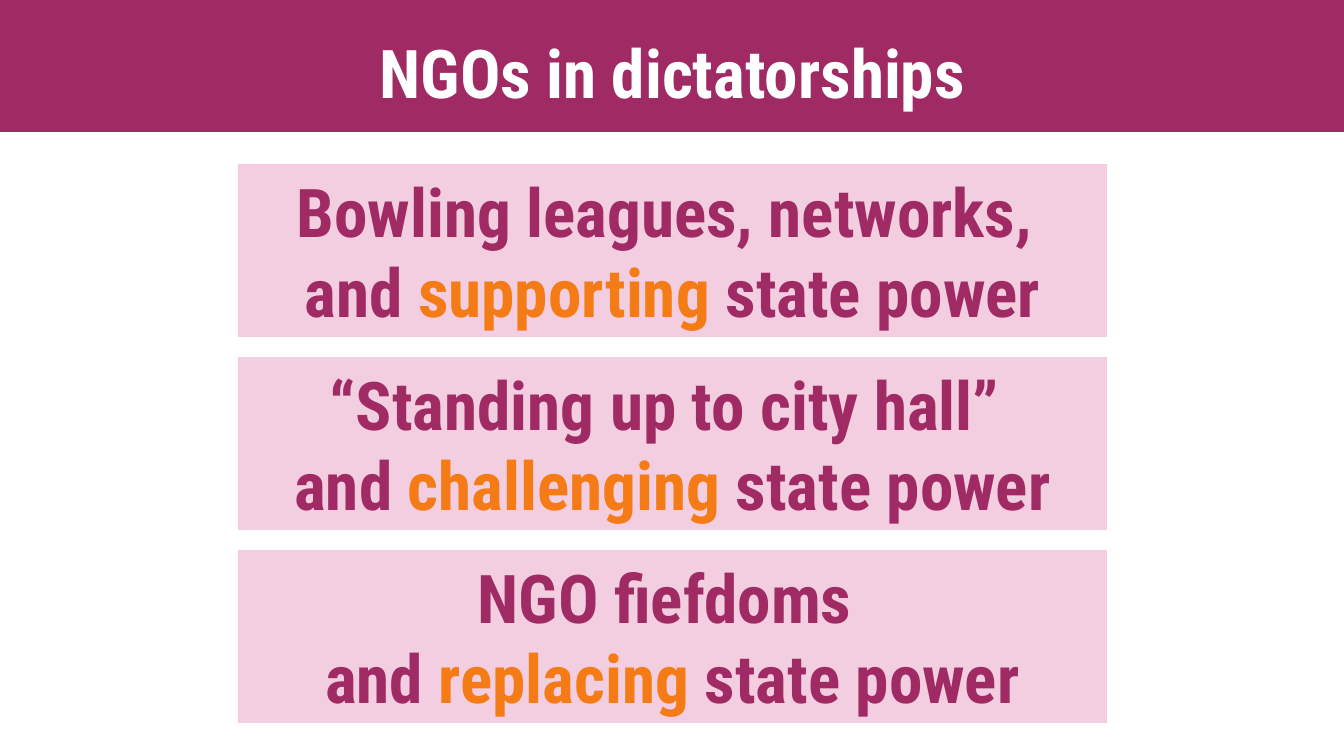
import pptx
import pptx.util
import pptx.dml.color
import pptx.enum.shapes
import pptx.enum.text

PLUM, PINK, ORANGE, WHITE = "A02A63", "F2CEE0", "F57B17", "FFFFFF"


def px(n):
    return pptx.util.Emu(round(n * 914400 / 100.8))


def color(value):
    return pptx.dml.color.RGBColor.from_string(value)


class Deck:
    """Holds the text style and the current slide."""

    font = {"name": "Roboto Condensed", "size": pptx.util.Pt(48), "bold": True}
    frame = {"word_wrap": True,
             "vertical_anchor": pptx.enum.text.MSO_ANCHOR.MIDDLE}

    def __init__(self, width, height):
        self.prs = pptx.Presentation()
        self.prs.slide_width, self.prs.slide_height = px(width), px(height)
        self.s = self.prs.slides.add_slide(self.prs.slide_layouts[6])

    def rect(self, x, y, w, h, fill):
        sp = self.s.shapes.add_shape(
            pptx.enum.shapes.MSO_SHAPE.RECTANGLE, px(x), px(y), px(w), px(h))
        sp.shadow.inherit = False
        sp.fill.solid()
        sp.fill.fore_color.rgb = color(fill)
        sp.line.fill.background()
        return sp

    def textbox(self, x, y, w, h):
        return self.s.shapes.add_textbox(px(x), px(y), px(w), px(h))

    def set_text(self, sp, lines, spacing=None):
        tf = sp.text_frame
        for key, value in self.frame.items():
            setattr(tf, key, value)
        p = tf.paragraphs[0]
        p.alignment = pptx.enum.text.PP_ALIGN.CENTER
        p.line_spacing = spacing
        for i, runs in enumerate(lines):
            if i:
                p.add_line_break()
            for text, ink in runs:
                r = p.add_run()
                r.text = text
                for key, value in self.font.items():
                    setattr(r.font, key, value)
                r.font.color.rgb = color(ink)


def main():
    deck = Deck(1344, 756)
    deck.rect(0, 0, 1344, 132, PLUM)
    title = deck.textbox(93, 17, 1159, 101)
    deck.set_text(title, [[("NGOs in dictatorships", WHITE)]], 1.1)

    roles = [("Bowling leagues, networks, ", "supporting"),
             ("“Standing up to city hall” ", "challenging"),
             ("NGO fiefdoms ", "replacing")]
    for i, (kind, verb) in enumerate(roles):
        box = deck.rect(238, 164 + 193 * i, 869, 173, PINK)
        deck.set_text(box, [[(kind, PLUM)],
                            [("and ", PLUM), (verb, ORANGE),
                             (" state power", PLUM)]])
    deck.prs.save("out.pptx")


if __name__ == "__main__":
    main()
